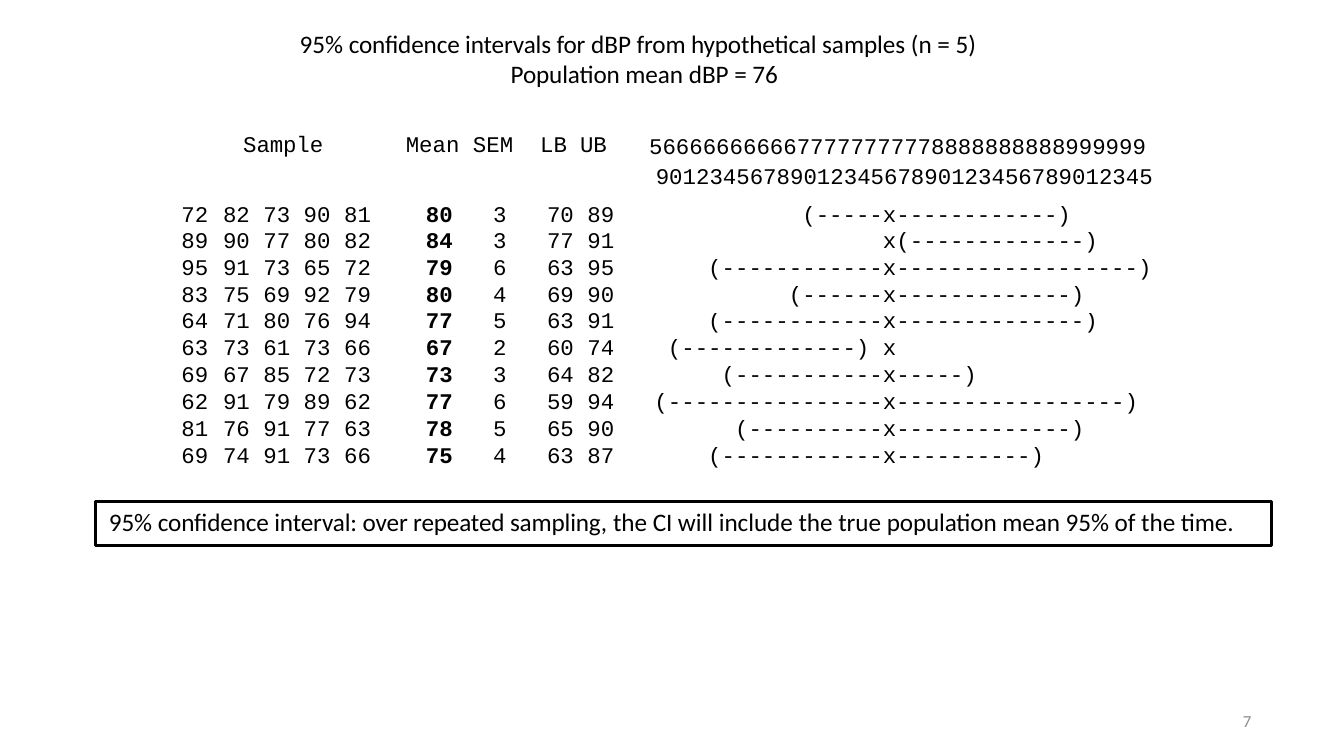
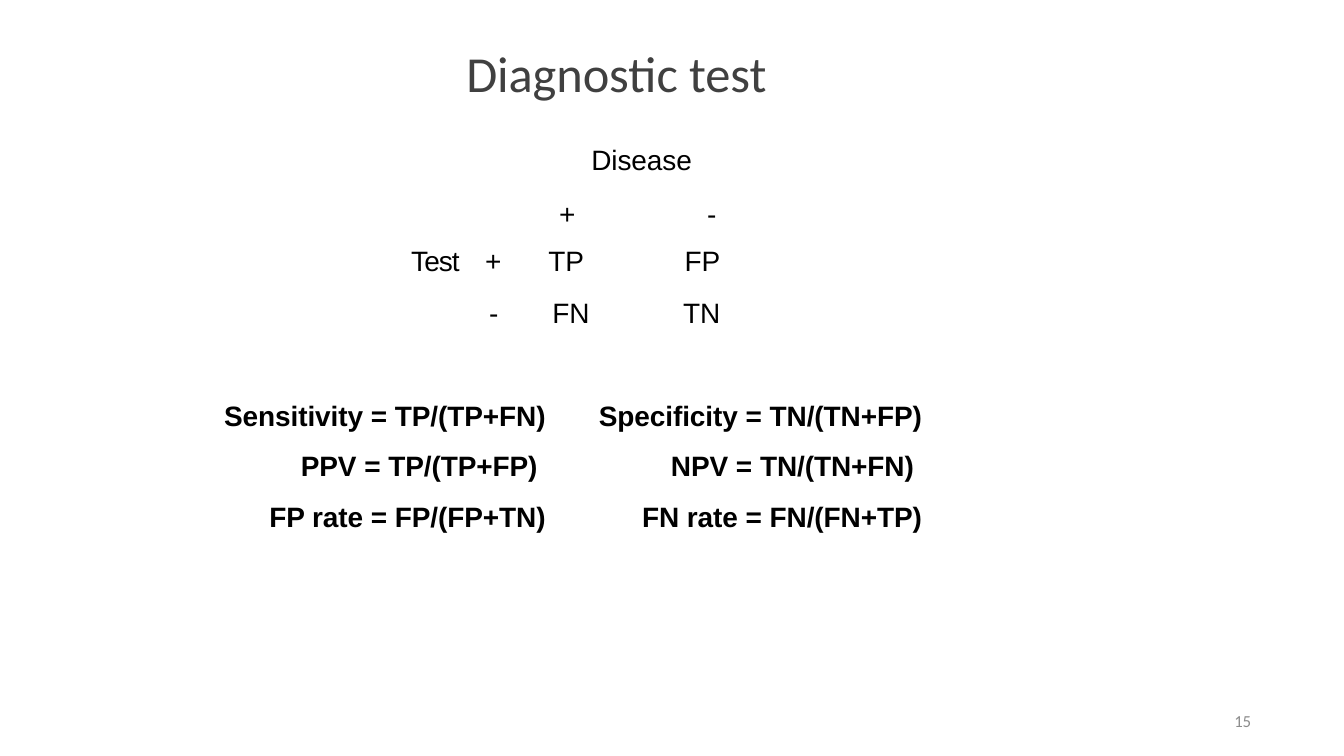
from dataclasses import dataclass
from typing import Optional, Union

from pptx import Presentation
from pptx.dml.color import RGBColor
from pptx.enum.shapes import MSO_SHAPE
from pptx.enum.text import MSO_ANCHOR, MSO_AUTO_SIZE, PP_ALIGN
from pptx.slide import Slide
from pptx.table import Table
from pptx.text.text import TextFrame
from pptx.util import Inches, Length, Pt

BLACK = "000000"
TITLE_GRAY = "404040"
FOOTER_GRAY = "8C8C8C"
LEFT, CENTER, RIGHT = PP_ALIGN.LEFT, PP_ALIGN.CENTER, PP_ALIGN.RIGHT
POPULATION_MEAN = 76
SCALE = range(59, 96)
CHARACTER = 0.1
TIGHT = -0.05
LOOSE = 0.05


@dataclass(frozen=True)
class Style:
    font: str
    size: float
    color: str = BLACK
    bold: bool = False


@dataclass(frozen=True)
class Run:
    text: str
    spacing: float = 0


@dataclass(frozen=True)
class Line:
    runs: tuple[Run, ...]
    align: PP_ALIGN = LEFT
    indent: float = 0
    right: float = 0
    before: float = 0
    leading: Optional[Union[float, Length]] = None


@dataclass(frozen=True)
class TextBox:
    left: float
    top: float
    width: float
    height: float
    lines: tuple[Line, ...]
    style: Style
    inset: float = 0.01
    anchor: MSO_ANCHOR = MSO_ANCHOR.TOP
    outlined: bool = False


@dataclass(frozen=True)
class Column:
    width: float
    align: PP_ALIGN
    indent: float = 0
    spacing: float = 0
    right: float = 0
    bold: bool = False


@dataclass(frozen=True)
class Sample:
    values: tuple[int, ...]
    mean: int
    error: int
    lower: int
    upper: int


MONO = Style("Courier New", 12)
MONO_BOLD = Style("Courier New", 12, bold=True)
STATEMENT = Style("Calibri", 13.5)
TITLE = Style("Calibri", 27, TITLE_GRAY)
FOOTER = Style("Calibri", 9, FOOTER_GRAY)
BODY = Style("Arial", 15)
FORMULA = Style("Arial", 15, bold=True)

SAMPLE_COLUMNS = (
    Column(0.29, LEFT, 0.03, TIGHT),
    Column(0.3, CENTER, 0, TIGHT),
    Column(0.3, CENTER, 0, TIGHT),
    Column(0.3, CENTER, 0, LOOSE),
    Column(0.45, LEFT, 0.05, LOOSE),
    Column(0.56, RIGHT, 0, LOOSE, 0.15, True),
    Column(0.4, CENTER),
    Column(0.4, RIGHT, 0, TIGHT, 0.05),
    Column(0.4, LEFT, 0.05, LOOSE),
    Column(3.91, LEFT),
)

SAMPLES = (
    Sample((72, 82, 73, 90, 81), 80, 3, 70, 89),
    Sample((89, 90, 77, 80, 82), 84, 3, 77, 91),
    Sample((95, 91, 73, 65, 72), 79, 6, 63, 95),
    Sample((83, 75, 69, 92, 79), 80, 4, 69, 90),
    Sample((64, 71, 80, 76, 94), 77, 5, 63, 91),
    Sample((63, 73, 61, 73, 66), 67, 2, 60, 74),
    Sample((69, 67, 85, 72, 73), 73, 3, 64, 82),
    Sample((62, 91, 79, 89, 62), 77, 6, 59, 94),
    Sample((81, 76, 91, 77, 63), 78, 5, 65, 90),
    Sample((69, 74, 91, 73, 66), 75, 4, 63, 87),
)


def rgb(color: str) -> RGBColor:
    return RGBColor.from_string(color)


def write_text(frame: TextFrame, lines: tuple[Line, ...], style: Style) -> None:
    for index, line in enumerate(lines):
        paragraph = frame.add_paragraph() if index else frame.paragraphs[0]
        paragraph.alignment = line.align
        paragraph.space_before = Pt(line.before)
        if line.leading is not None:
            paragraph.line_spacing = line.leading
        properties = paragraph._p.get_or_add_pPr()
        properties.set("marL", str(Inches(line.indent)))
        properties.set("marR", str(Inches(line.right)))
        properties.set("indent", "0")
        for part in line.runs:
            run = paragraph.add_run()
            run.text = part.text
            run.font.name = style.font
            run.font.size = Pt(style.size)
            run.font.bold = style.bold
            run.font.color.rgb = rgb(style.color)
            run._r.get_or_add_rPr().set("spc", str(round(part.spacing * 100)))


def add_text(slide: Slide, box: TextBox) -> None:
    place = [Inches(value) for value in (box.left, box.top, box.width, box.height)]
    if box.outlined:
        shape = slide.shapes.add_shape(MSO_SHAPE.RECTANGLE, *place)
        shape.shadow.inherit = False
        shape.fill.background()
        shape.line.color.rgb = rgb(BLACK)
        shape.line.width = Pt(1.5)
    else:
        shape = slide.shapes.add_textbox(*place)
    frame = shape.text_frame
    frame.word_wrap = True
    frame.auto_size = MSO_AUTO_SIZE.SHAPE_TO_FIT_TEXT
    frame.vertical_anchor = box.anchor
    frame.margin_left = frame.margin_right = frame.margin_bottom = 0
    frame.margin_top = Inches(box.inset)
    write_text(frame, box.lines, box.style)


def add_footer(slide: Slide, number: int) -> None:
    line = Line((Run(str(number), TIGHT),), RIGHT, 0.04)
    add_text(slide, TextBox(7.06, 5.21, 2.25, 0.3, (line,), FOOTER, 0, MSO_ANCHOR.MIDDLE))


def add_plain_table(slide: Slide, left: float, top: float,
                    widths: list[float], heights: list[float]) -> Table:
    table = slide.shapes.add_table(
        len(heights), len(widths), Inches(left), Inches(top),
        Inches(sum(widths)), Inches(sum(heights))).table
    table.first_row = table.horz_banding = False
    for column, width in zip(table.columns, widths):
        column.width = Inches(width)
    for row, height in zip(table.rows, heights):
        row.height = Inches(height)
    for cell in table.iter_cells():
        cell.fill.background()
        cell.margin_left = cell.margin_right = cell.margin_top = cell.margin_bottom = 0
    return table


def interval_text(sample: Sample) -> str:
    marks = {value: "-" for value in range(sample.lower, sample.upper + 1)}
    marks |= {sample.lower: "(", sample.upper: ")", POPULATION_MEAN: "x"}
    return "".join(marks.get(value, " ") for value in range(min(marks), max(marks) + 1))


def add_sample_table(slide: Slide) -> None:
    heights = [0.19] + [0.2] * (len(SAMPLES) - 2) + [0.19]
    table = add_plain_table(slide, 1.32, 1.53,
                            [column.width for column in SAMPLE_COLUMNS], heights)
    for row, sample in enumerate(SAMPLES):
        numbers = (*sample.values, sample.mean, sample.error, sample.lower, sample.upper)
        texts = [*map(str, numbers), interval_text(sample)]
        start = 0.15 + CHARACTER * (min(sample.lower, POPULATION_MEAN) - SCALE.start)
        leading = Pt(12.8 if row else 12.4)
        for index, (text, column) in enumerate(zip(texts, SAMPLE_COLUMNS)):
            indent = start if index == len(texts) - 1 else column.indent
            line = Line((Run(text, column.spacing),), column.align, indent,
                        column.right, leading=leading)
            write_text(table.cell(row, index).text_frame, (line,),
                       MONO_BOLD if column.bold else MONO)


def build_intervals(slide: Slide) -> None:
    headings = (
        (1.8, 0.63, Run("Sample", TIGHT)),
        (3.01, 0.83, Run("Mean SEM")),
        (4.01, 0.53, Run("LB UB", TIGHT)),
    )
    for left, width, run in headings:
        line = Line((run,), indent=0.01, before=1)
        add_text(slide, TextBox(left, 0.96, width, 0.23, (line,), MONO))
    tens = "".join(str(value // 10) for value in SCALE)
    units = "".join(str(value % 10) for value in SCALE)
    scale_lines = (Line((Run(tens),), indent=0.01, before=2.9),
                   Line((Run(units),), indent=0.06, before=1.9))
    add_text(slide, TextBox(4.82, 0.94, 3.8, 0.48, scale_lines, MONO, 0.04))
    add_sample_table(slide)
    title_lines = (
        Line((Run("95% "), Run("confidence intervals for ", TIGHT), Run("dBP "),
              Run("from hypothetical ", TIGHT), Run("samples (n = 5)")),
             indent=0.01, before=1.1),
        Line((Run("Population ", TIGHT), Run("mean dBP = 76")), indent=1.58),
    )
    add_text(slide, TextBox(2.22, 0.19, 5.21, 0.48, title_lines, STATEMENT,
                            anchor=MSO_ANCHOR.MIDDLE))
    add_footer(slide, 7)
    definition = Line(
        (Run("95% "), Run("confidence interval: over repeated sampling, ", TIGHT),
         Run("the "), Run("CI ", TIGHT), Run("will include the true "),
         Run("population ", TIGHT), Run("mean 95% of the time.")),
        indent=0.1, before=2.8)
    add_text(slide, TextBox(0.71, 3.73, 8.75, 0.33, (definition,), STATEMENT, 0.04,
                            outlined=True))


def add_outcome_table(slide: Slide) -> None:
    table = add_plain_table(slide, 3.03, 1.48, [0.5, 0.38, 0.82, 0.65], [0.3, 0.38, 0.3])
    table.cell(0, 0).merge(table.cell(0, 1))
    rows = (
        (None, None, ("+", 0.25, 0), ("-", 0, 0)),
        (("Test", 0.03, -0.5), ("+", 0.08, 0), ("TP", 0.17, TIGHT), ("FP", 0, TIGHT)),
        (None, ("-", 0.11, 0), ("FN", 0.2, TIGHT), ("TN", 0, TIGHT)),
    )
    leadings = (Pt(16.6), None, Pt(17.2))
    for row, (entries, leading) in enumerate(zip(rows, leadings)):
        for column, entry in enumerate(entries):
            if entry is None:
                continue
            text, indent, spacing = entry
            cell = table.cell(row, column)
            cell.margin_top = Inches(0.05 if row else 0)
            align, right = (RIGHT, 0.02 if row else 0.05) if column == 3 else (LEFT, 0)
            line = Line((Run(text, spacing),), align, indent, right,
                        3.7 if row else 0, leading)
            write_text(cell.text_frame, (line,), BODY)


def add_formulas(slide: Slide, left: float, formulas: tuple[tuple[str, str], ...]) -> None:
    lines = tuple(
        Line((Run(f"{name} ", TIGHT), Run("= "), Run(ratio, TIGHT)), RIGHT,
             right=0.06 if index == 1 else 0, before=0 if index else 1, leading=1.5)
        for index, (name, ratio) in enumerate(formulas))
    add_text(slide, TextBox(left, 2.83, 2.43, 1.15, lines, FORMULA))


def build_diagnostic(slide: Slide) -> None:
    title = Line((Run("Diagnostic ", TIGHT), Run("test")), indent=0.01, before=1)
    add_text(slide, TextBox(3.46, 0.29, 2.72, 0.48, (title,), TITLE,
                            anchor=MSO_ANCHOR.MIDDLE))
    add_footer(slide, 15)
    disease = Line((Run("Disease", TIGHT),), indent=0.01, before=1)
    add_text(slide, TextBox(4.39, 1.05, 0.78, 0.28, (disease,), BODY))
    add_outcome_table(slide)
    add_formulas(slide, 1.63, (("Sensitivity", "TP/(TP+FN)"), ("PPV", "TP/(TP+FP)"),
                               ("FP rate", "FP/(FP+TN)")))
    add_formulas(slide, 4.43, (("Specificity", "TN/(TN+FP)"), ("NPV", "TN/(TN+FN)"),
                               ("FN rate", "FN/(FN+TP)")))


def main() -> None:
    presentation = Presentation()
    presentation.slide_width = Inches(10)
    presentation.slide_height = Inches(10 * 9 / 16)
    for build in (build_intervals, build_diagnostic):
        build(presentation.slides.add_slide(presentation.slide_layouts[6]))
    presentation.save("out.pptx")


if __name__ == "__main__":
    main()
